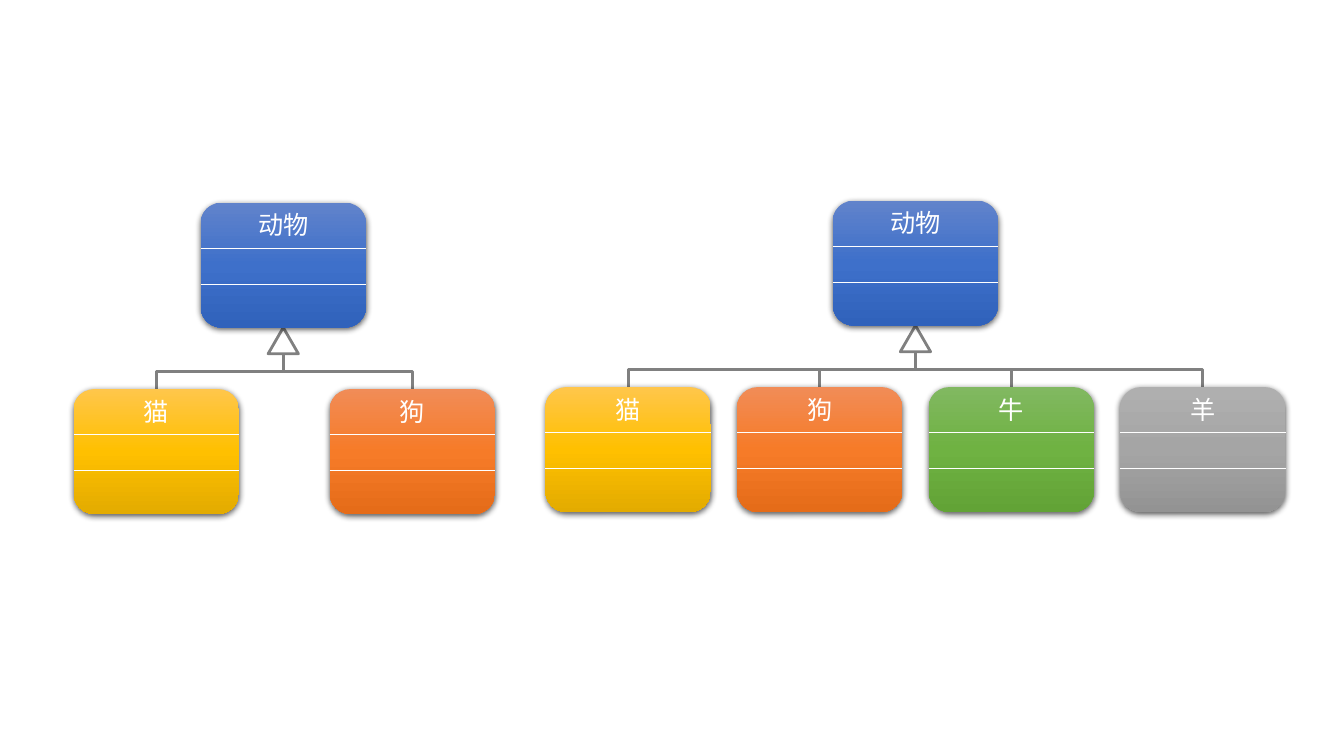
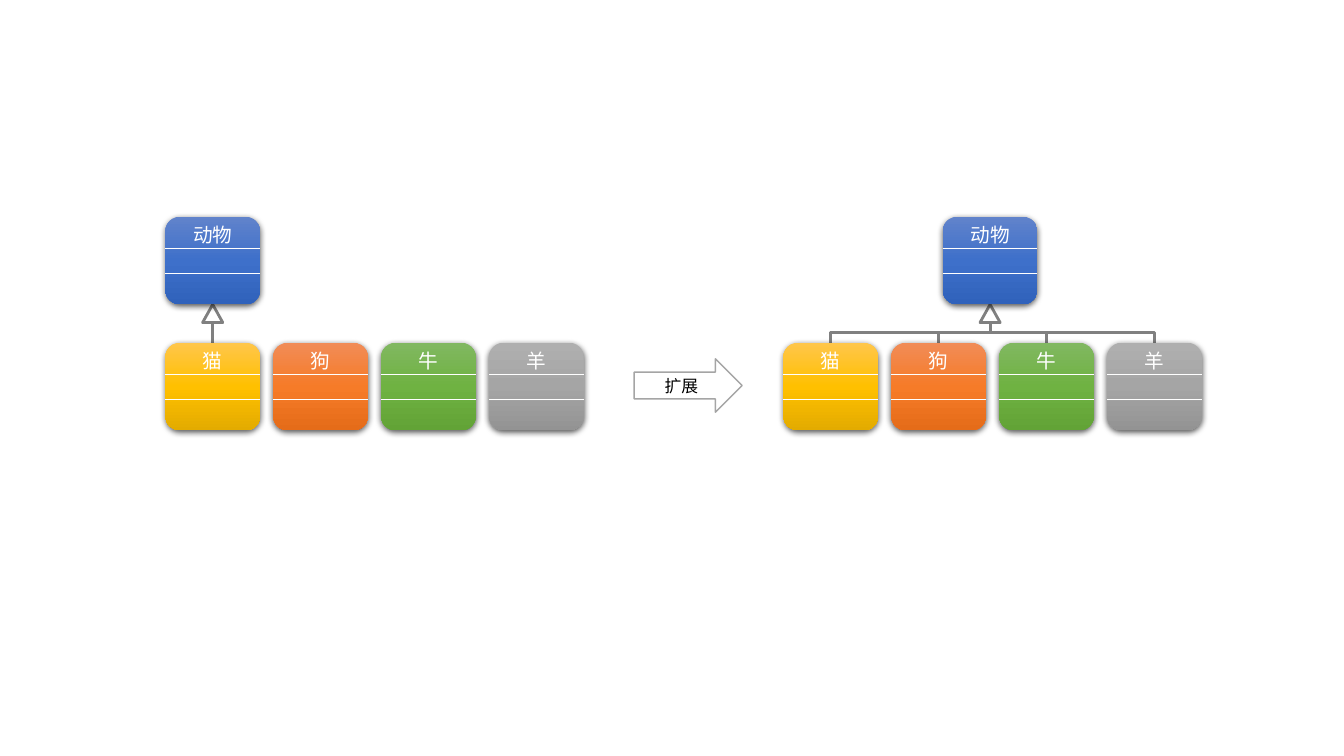
from copy import deepcopy
from dataclasses import dataclass

from lxml.etree import SubElement
from pptx import Presentation
from pptx.dml.color import RGBColor
from pptx.enum.shapes import MSO_CONNECTOR, MSO_SHAPE
from pptx.enum.text import MSO_ANCHOR, MSO_AUTO_SIZE, PP_ALIGN
from pptx.oxml.ns import qn
from pptx.util import Inches, Pt


@dataclass(frozen=True)
class Theme:
    font = "Noto Sans CJK SC"
    white = "FFFFFF"
    black = "000000"
    link = "808080"
    arrow = "A5A5A5"
    arrow_size = 12
    link_width = 2
    divider_width = 0.5
    # Top, middle and bottom colour of each class box
    gradients = {
        "动物": ("6183CB", "3E70CA", "3062BB"),
        "猫": ("FFC64B", "FFC000", "E3AB00"),
        "狗": ("F18C57", "F67B28", "E56C19"),
        "牛": ("81B861", "6FB242", "62A336"),
        "羊": ("AFAFAF", "A5A5A5", "939393"),
    }


@dataclass(frozen=True)
class BoxSize:
    width: float
    height: float
    dividers: tuple
    label_top: float
    label_height: float
    text_size: int
    triangle: tuple


LARGE = BoxSize(1.64, 1.24, (0.45, 0.81), 0.02, 0.43, 18, (0.3, 0.26))
SMALL = BoxSize(0.94, 0.87, (0.31, 0.56), 0.01, 0.33, 14, (0.2, 0.18))

# Per slide: (box size, parent left and top, first child left and top, pitch, children, linked)
SLIDES = [
    [
        (LARGE, (1.99, 2.01), (0.73, 3.86), 2.54, "猫狗", "猫狗"),
        (LARGE, (8.26, 1.99), (5.41, 3.84), 1.9, "猫狗牛羊", "猫狗牛羊"),
    ],
    [
        (SMALL, (1.64, 2.15), (1.64, 3.4), 1.07, "猫狗牛羊", "猫"),
        (SMALL, (9.35, 2.15), (7.77, 3.4), 1.07, "猫狗牛羊", "猫狗牛羊"),
    ],
]


def add_line(shapes, kind, start, end, color, width):
    c = shapes.add_connector(kind, *map(Inches, start + end))
    c.line.color.rgb = RGBColor.from_string(color)
    c.line.width = Pt(width)
    SubElement(c._element.spPr, qn("a:effectLst"))
    return c


def set_text(tf, text, size, color):
    p = tf.paragraphs[0]
    p.text = text
    p.alignment = PP_ALIGN.CENTER
    p.font.size = Pt(size)
    p.font.color.rgb = RGBColor.from_string(color)
    p.font.name = Theme.font
    SubElement(p._p.pPr.find(qn("a:defRPr")), qn("a:ea"), typeface=Theme.font)


prs = Presentation()
prs.slide_width, prs.slide_height = Inches(13.33), Inches(7.5)

for diagrams in SLIDES:
    s = prs.slides.add_slide(prs.slide_layouts[6])

    for box, parent, first, pitch, children, linked in diagrams:
        parent_mid = parent[0] + box.width / 2
        parent_bottom = parent[1] + box.height
        tri_w, tri_h = box.triangle
        link_top = parent_bottom + tri_h
        boxes = [("动物", *parent)]
        boxes += [(name, first[0] + i * pitch, first[1]) for i, name in enumerate(children)]

        # Links from the triangle down to the children
        for name, left, top in boxes[1:]:
            if name not in linked:
                continue
            child_mid = left + box.width / 2
            across, down = abs(child_mid - parent_mid), top - link_top
            if across < 0.01:
                add_line(s.shapes, MSO_CONNECTOR.STRAIGHT, (parent_mid, link_top),
                         (child_mid, top), Theme.link, Theme.link_width)
                continue
            # A quarter turn makes the elbow leave vertically
            mid_x, mid_y = (parent_mid + child_mid) / 2, (link_top + top) / 2
            c = add_line(s.shapes, MSO_CONNECTOR.ELBOW,
                         (mid_x - down / 2, mid_y - across / 2),
                         (mid_x + down / 2, mid_y + across / 2),
                         Theme.link, Theme.link_width)
            xfrm = c._element.spPr.find(qn("a:xfrm"))
            if child_mid < parent_mid:
                xfrm.set("rot", "5400000")
            else:
                xfrm.set("rot", "16200000")
                xfrm.set("flipH", "1")

        # Inheritance triangle
        sp = s.shapes.add_shape(MSO_SHAPE.ISOSCELES_TRIANGLE, Inches(parent_mid - tri_w / 2),
                                Inches(parent_bottom), Inches(tri_w), Inches(tri_h))
        sp.shadow.inherit = False
        sp.fill.background()
        sp.line.color.rgb = RGBColor.from_string(Theme.link)
        sp.line.width = Pt(Theme.link_width)

        # Class boxes
        for name, left, top in boxes:
            shapes = s.shapes.add_group_shape().shapes
            sp = shapes.add_shape(MSO_SHAPE.ROUNDED_RECTANGLE, Inches(left), Inches(top),
                                  Inches(box.width), Inches(box.height))
            sp.line.fill.background()
            sp.fill.gradient()
            sp.fill.gradient_angle = 270
            stops = sp._element.spPr.find(".//" + qn("a:gsLst"))
            stops.append(deepcopy(stops[0]))
            for i, color in enumerate(Theme.gradients[name]):
                stop = sp.fill.gradient_stops[i]
                stop.position = i / 2
                stop.color.rgb = RGBColor.from_string(color)

            # Soft shadow below the box
            sp.shadow.inherit = False
            shadow = SubElement(sp._element.spPr.find(qn("a:effectLst")), qn("a:outerShdw"),
                                blurRad=str(Pt(4.5)), dist=str(Pt(1.5)), dir="5400000",
                                algn="ctr", rotWithShape="0")
            shade = SubElement(shadow, qn("a:srgbClr"), val=Theme.black)
            SubElement(shade, qn("a:alpha"), val="63000")

            for offset in box.dividers:
                add_line(shapes, MSO_CONNECTOR.STRAIGHT, (left, top + offset),
                         (left + box.width, top + offset), Theme.white, Theme.divider_width)

            label = shapes.add_textbox(Inches(left), Inches(top + box.label_top),
                                       Inches(box.width), Inches(box.label_height))
            tf = label.text_frame
            tf.word_wrap = True
            tf.auto_size = MSO_AUTO_SIZE.SHAPE_TO_FIT_TEXT
            set_text(tf, name, box.text_size, Theme.white)

# Extension arrow on the last slide
sp = s.shapes.add_shape(MSO_SHAPE.RIGHT_ARROW, Inches(6.29), Inches(3.56),
                        Inches(1.07), Inches(0.53))
sp.shadow.inherit = False
sp.fill.solid()
sp.fill.fore_color.rgb = RGBColor.from_string(Theme.white)
sp.line.color.rgb = RGBColor.from_string(Theme.arrow)
sp.line.width = Pt(1)
sp.text_frame.vertical_anchor = MSO_ANCHOR.MIDDLE
set_text(sp.text_frame, "扩展", Theme.arrow_size, Theme.black)

prs.save("out.pptx")
